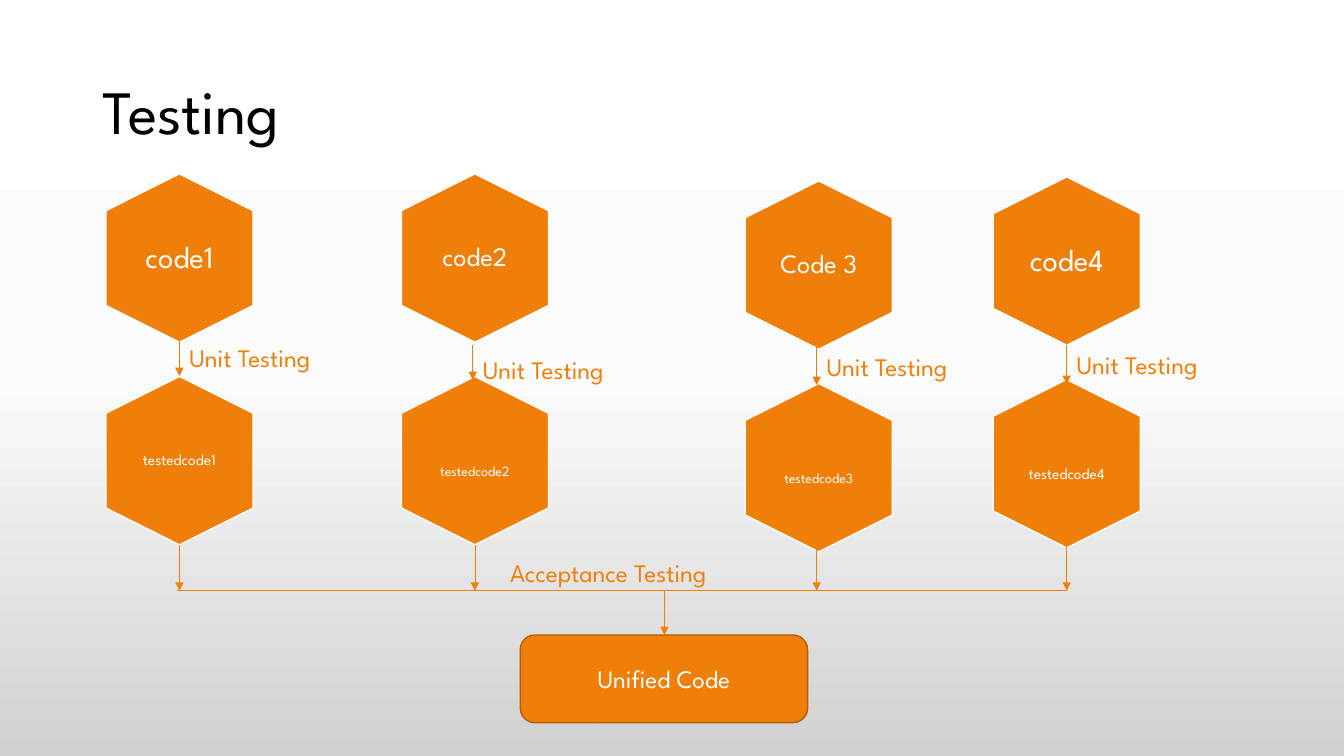
from copy import deepcopy
from dataclasses import dataclass

from pptx import Presentation
from pptx.dml.color import RGBColor as RGB
from pptx.enum.shapes import MSO_CONNECTOR as CONN, MSO_SHAPE as SHAPE
from pptx.enum.text import MSO_ANCHOR as ANCHOR, PP_ALIGN as ALIGN
from pptx.oxml.ns import qn
from pptx.oxml.xmlchemy import OxmlElement
from pptx.util import Inches, Pt


@dataclass(frozen=True)
class Theme:
    font: str = "League Spartan"
    accent: RGB = RGB(0xF0, 0x7F, 0x09)
    edge: RGB = RGB(0xB2, 0x5E, 0x07)
    white: RGB = RGB(0xFF, 0xFF, 0xFF)
    black: RGB = RGB(0, 0, 0)
    backdrop: tuple = ((0, "FFFFFF"), (0.5, "FBFBFB"), (1, "D1D1D1"))
    title: int = 44
    body: int = 18
    outline: float = 1
    arrow: float = 0.5


class Deck:
    def __init__(self, prs, theme):
        self.theme = theme
        self.slide = prs.slides.add_slide(prs.slide_layouts[5])
        self.shapes = self.slide.shapes

    def background(self):
        fill = self.slide.background.fill
        fill.gradient()
        fill.gradient_angle = 270
        stops = next(self.slide.element.iter(qn("a:gsLst")))
        stops.insert(1, deepcopy(stops[0]))
        for stop, (pos, color) in zip(fill.gradient_stops, self.theme.backdrop):
            stop.position = pos
            stop.color.rgb = RGB.from_string(color)

    def text(self, sp, text, size, color, align=ALIGN.LEFT, anchor=ANCHOR.TOP, spacing=None):
        tf = sp.text_frame
        tf.word_wrap = True
        tf.vertical_anchor = anchor
        p = tf.paragraphs[0]
        p.alignment = align
        p.line_spacing = spacing
        r = p.add_run()
        r.text = text
        r.font.name = self.theme.font
        r.font.size = Pt(size)
        r.font.color.rgb = color
        return tf

    def title(self, text, x, y, w, h):
        sp = self.shapes.title
        sp.left, sp.top, sp.width, sp.height = map(Inches, (x, y, w, h))
        self.text(sp, text, self.theme.title, self.theme.black,
                  anchor=ANCHOR.MIDDLE, spacing=0.9)

    def shape(self, kind, x, y, w, h, line):
        sp = self.shapes.add_shape(kind, *map(Inches, (x, y, w, h)))
        sp.shadow.inherit = False
        sp.fill.solid()
        sp.fill.fore_color.rgb = self.theme.accent
        sp.line.color.rgb = line
        sp.line.width = Pt(self.theme.outline)
        return sp

    def hexagon(self, text, size, cx, cy, drop=0):
        w, h = 1.67, 1.46
        sp = self.shape(SHAPE.HEXAGON, cx - w / 2, cy - h / 2, w, h, self.theme.white)
        sp.adjustments[0] = 0.25
        sp.rotation = 90
        w, h = 1, 1.15
        box = self.shapes.add_textbox(*map(Inches, (cx - w / 2, cy - h / 2 + drop, w, h)))
        tf = self.text(box, text, size, self.theme.white, ALIGN.CENTER, ANCHOR.MIDDLE, 0.9)
        tf.margin_left = tf.margin_right = tf.margin_top = tf.margin_bottom = 0

    def box(self, text, x, y, w, h):
        sp = self.shape(SHAPE.ROUNDED_RECTANGLE, x, y, w, h, self.theme.edge)
        self.text(sp, text, self.theme.body, self.theme.white, ALIGN.CENTER, ANCHOR.MIDDLE)

    def label(self, text, x, y, w):
        sp = self.shapes.add_textbox(*map(Inches, (x, y, w, 0.4)))
        self.text(sp, text, self.theme.body, self.theme.accent)

    def line(self, x1, y1, x2, y2, arrow=True):
        sp = self.shapes.add_connector(CONN.STRAIGHT, *map(Inches, (x1, y1, x2, y2)))
        sp.line.color.rgb = self.theme.accent
        sp.line.width = Pt(self.theme.arrow)
        if arrow:
            tail = OxmlElement("a:tailEnd")
            tail.set("type", "triangle")
            sp.element.spPr.find(qn("a:ln")).append(tail)
        sp.element.spPr.append(OxmlElement("a:effectLst"))


def main():
    prs = Presentation()
    prs.slide_width, prs.slide_height = Inches(13.33), Inches(7.5)
    deck = Deck(prs, Theme())
    deck.background()
    deck.title("Testing", 0.92, 0.41, 2.64, 1.45)

    row_gap, bus_y = 2.01, 5.86
    columns = (
        ("code1", 22, "testedcode1", 11, 0, 1.78, 2.56, 1.78, 3.35, 3.73, 3.35),
        ("code2", 19, "testedcode2", 10, 0.11, 4.71, 2.56, 4.69, 3.42, 3.77, 3.47),
        ("Code 3", 19, "testedcode3", 10, 0.11, 8.12, 2.63, 8.1, 3.44, 3.82, 3.44),
        ("code4", 22, "testedcode4", 11, 0.11, 10.58, 2.59, 10.58, 3.42, 3.81, 3.42),
    )
    for code, size, tested, tested_size, drop, cx, cy, unit_x, start, end, label_y in columns:
        deck.hexagon(code, size, cx, cy)
        deck.hexagon(tested, tested_size, cx, cy + row_gap, drop)
        deck.line(unit_x, start, unit_x, end)
        deck.label("Unit Testing", unit_x, label_y, 1.77)

    deck.line(1.76, bus_y, 10.58, bus_y, arrow=False)
    for x in (1.78, 4.71, 8.1, 10.58):
        deck.line(x, bus_y - 0.45, x, bus_y)
    deck.label("Acceptance Testing", 4.96, 5.48, 2.68)
    deck.line(6.59, bus_y, 6.59, 6.3)
    deck.box("Unified Code", 5.16, 6.3, 2.85, 0.87)
    prs.save("out.pptx")


if __name__ == "__main__":
    main()
